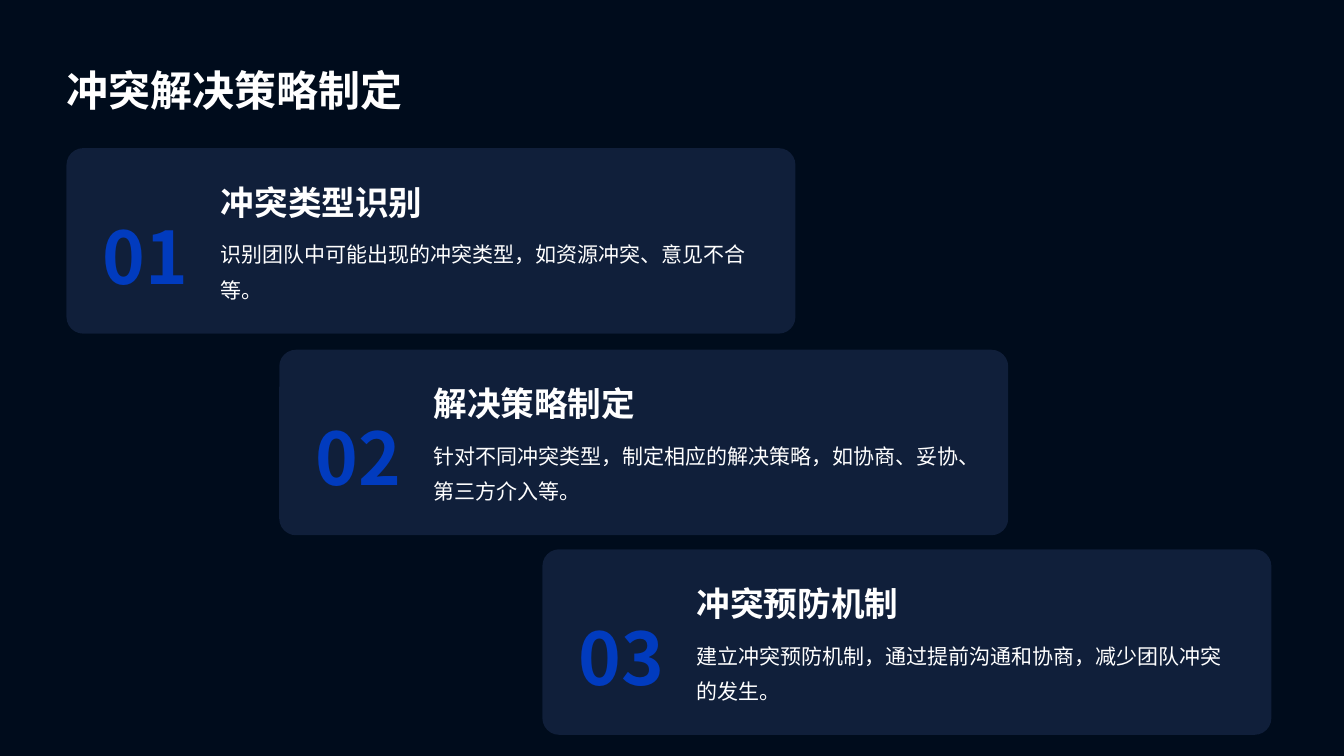
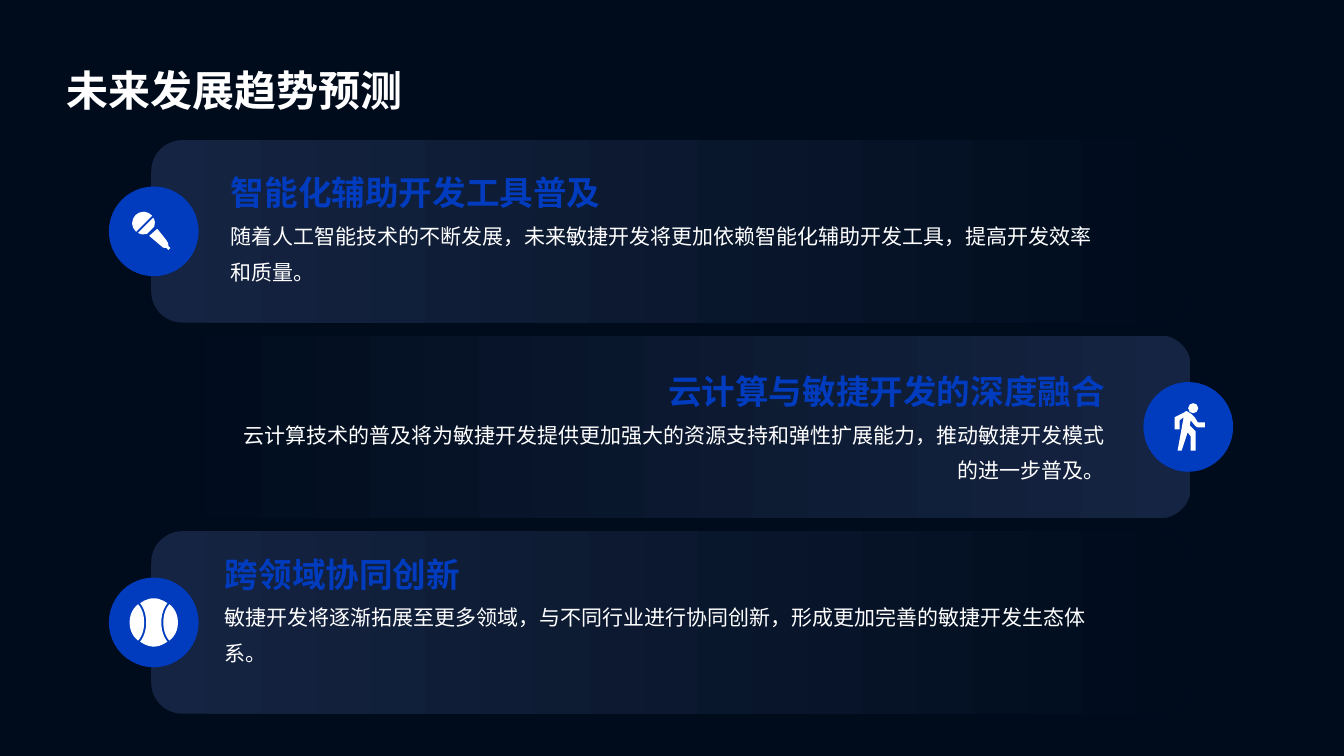
from dataclasses import dataclass

from lxml import etree
from pptx import Presentation
from pptx.dml.color import RGBColor
from pptx.enum.shapes import MSO_SHAPE
from pptx.enum.text import MSO_ANCHOR, MSO_AUTO_SIZE, PP_ALIGN
from pptx.oxml.ns import qn
from pptx.util import Pt

PX = 9144
ICON_UNIT = PX // 2
TITLE_ONLY = 5
ROUNDED, OVAL = MSO_SHAPE.ROUNDED_RECTANGLE, MSO_SHAPE.OVAL
TOP, MIDDLE, BOTTOM = MSO_ANCHOR.TOP, MSO_ANCHOR.MIDDLE, MSO_ANCHOR.BOTTOM
LEFT, CENTER, RIGHT = PP_ALIGN.LEFT, PP_ALIGN.CENTER, PP_ALIGN.RIGHT
NO_AUTOFIT = MSO_AUTO_SIZE.NONE


@dataclass(frozen=True)
class Theme:
    font: str = "Noto Sans CJK SC"
    night: RGBColor = RGBColor.from_string("000C1C")
    panel: RGBColor = RGBColor.from_string("152442")
    accent: RGBColor = RGBColor.from_string("013BBE")
    white: RGBColor = RGBColor.from_string("FFFFFF")
    title: float = 30
    number: float = 51.8
    heading: float = 24
    body: float = 15


THEME = Theme()
INSETS = (12, 6, 12, 6)
TITLE = {"size": THEME.title, "bold": True, "color": THEME.white, "spacing": 1.4,
         "anchor": MIDDLE, "insets": (14, 14, 6, 14)}
NUMBER = {"size": THEME.number, "bold": True, "color": THEME.accent, "spacing": 1.2,
          "anchor": MIDDLE, "insets": INSETS}
CARD_HEADING = {"size": THEME.heading, "bold": True, "color": THEME.white, "spacing": 1.2,
                "anchor": BOTTOM, "insets": INSETS}
TREND_HEADING = CARD_HEADING | {"color": THEME.accent, "anchor": MIDDLE}
BODY = {"size": THEME.body, "bold": False, "color": THEME.white, "spacing": 1.4,
        "anchor": TOP, "insets": INSETS}


def write_text(box, bounds, text, style, align=LEFT):
    for name, length in zip(("left", "top", "width", "height"), bounds):
        setattr(box, name, length * PX)
    frame = box.text_frame
    frame_format = {"word_wrap": True, "auto_size": NO_AUTOFIT, "vertical_anchor": style["anchor"]}
    for side, inset in zip(("left", "top", "right", "bottom"), style["insets"]):
        frame_format[f"margin_{side}"] = inset * PX
    para = frame.paragraphs[0]
    span = para.add_run()
    span.text = text
    para_format = {"alignment": align, "line_spacing": style["spacing"], "space_before": Pt(0)}
    font_format = {"name": THEME.font, "size": Pt(style["size"]), "bold": style["bold"]}
    for target, values in ((frame, frame_format), (para, para_format), (span.font, font_format)):
        for name, value in values.items():
            setattr(target, name, value)
    span.font.color.rgb = style["color"]
    etree.SubElement(span.font._element, qn("a:ea"), typeface=THEME.font)


def draw_icon(slide, contours, left, top):
    builder = None
    for start, *segments in contours:
        if builder is None:
            builder = slide.shapes.build_freeform(*start, scale=ICON_UNIT)
        else:
            builder.move_to(*start)
        points = [segment[i:i + 2] for segment in segments for i in range(0, len(segment), 2)]
        builder.add_line_segments(points, close=True)
    icon = builder.convert_to_shape(left * PX, top * PX)
    lines = iter(list(icon._element.iter(qn("a:lnTo"))))
    for _, *segments in contours:
        for segment in segments:
            stroke = next(lines)
            if len(segment) == 6:
                stroke.tag = qn("a:cubicBezTo")
                for extra in (next(lines), next(lines)):
                    stroke.append(extra[0])
                    extra.getparent().remove(extra)
    icon.shadow.inherit = False
    icon.fill.solid()
    icon.fill.fore_color.rgb = THEME.white
    icon.line.fill.background()


MICROPHONE = [
    [(90, 80), (92, 74, 92, 68, 88, 62), (58, 92), (64, 96, 70, 96, 76, 94)],
    [(86, 58), (82, 54, 76, 50, 70, 50), (56, 50, 46, 60, 46, 74), (46, 80, 50, 86, 54, 90)],
    [(118, 118), (118, 118, 118, 110, 116, 110), (116, 108, 96, 84, 96, 84), (80, 98),
     (106, 120), (106, 122, 114, 122, 114, 122), (118, 126), (122, 122)],
]
WALKER = [
    [(94, 76), (102, 86), (104, 88, 106, 90, 108, 90), (122, 90), (122, 80), (108, 80),
     (102, 70), (100, 68, 98, 66, 96, 64), (90, 60), (88, 58, 86, 58, 86, 58),
     (84, 58, 82, 58, 82, 60), (62, 70), (62, 94), (72, 94), (72, 76), (80, 70), (68, 136),
     (76, 136), (88, 100), (94, 108), (94, 136), (104, 136), (104, 98), (92, 86)],
    [(99, 62), (104, 62, 109, 58, 109, 52), (109, 46, 104, 42, 99, 42),
     (94, 42, 89, 46, 89, 52), (89, 58, 94, 62, 99, 62)],
]
BALL = [
    [(104, 89), (104, 64, 116, 51, 116, 51), (116, 51, 104, 41, 89, 41),
     (74, 41, 62, 51, 62, 51), (62, 51, 74, 64, 74, 89), (74, 114, 62, 127, 62, 127),
     (62, 127, 74, 137, 89, 137), (104, 137, 116, 127, 116, 127), (116, 127, 104, 114, 104, 89)],
    [(58, 53), (58, 53, 41, 64, 41, 89), (41, 114, 58, 125, 58, 125),
     (58, 125, 70, 114, 70, 89), (70, 64, 58, 53, 58, 53)],
    [(120, 53), (120, 53, 137, 64, 137, 89), (137, 114, 120, 125, 120, 125),
     (120, 125, 108, 114, 108, 89), (108, 64, 120, 53, 120, 53)],
]

STRATEGIES = [
    (66, 147, "冲突类型识别", "识别团队中可能出现的冲突类型，如资源冲突、意见不合等。"),
    (277, 347, "解决策略制定", "针对不同冲突类型，制定相应的解决策略，如协商、妥协、第三方介入等。"),
    (538, 545, "冲突预防机制", "建立冲突预防机制，通过提前沟通和协商，减少团队冲突的发生。"),
]
TRENDS = [
    (139, 108, 217, 156, LEFT, MICROPHONE, "智能化辅助开发工具普及",
     "随着人工智能技术的不断发展，未来敏捷开发将更加依赖智能化辅助开发工具，提高开发效率和质量。"),
    (333, 1134, 211, 353, RIGHT, WALKER, "云计算与敏捷开发的深度融合",
     "云计算技术的普及将为敏捷开发提供更加强大的资源支持和弹性扩展能力，推动敏捷开发模式的进一步普及。"),
    (527, 108, 211, 534, LEFT, BALL, "跨领域协同创新",
     "敏捷开发将逐渐拓展至更多领域，与不同行业进行协同创新，形成更加完善的敏捷开发生态体系。"),
]
CARD_WIDTH, CARD_HEIGHT = 723, 184
BAND_LEFT, BAND_WIDTH, BAND_HEIGHT = 150, 1031, 181
BADGE = 89

deck = Presentation()
deck.slide_width, deck.slide_height = 1333 * PX, 750 * PX
backdrop = deck.slide_master.background.fill
backdrop.solid()
backdrop.fore_color.rgb = THEME.night

pages = []
for title in ("冲突解决策略制定", "未来发展趋势预测"):
    page = deck.slides.add_slide(deck.slide_layouts[TITLE_ONLY])
    write_text(page.shapes.title, (52, 29, 1229, 100), title, TITLE)
    pages.append(page)
strategy_page, trend_page = pages

for index, (left, top, heading, body) in enumerate(STRATEGIES, 1):
    card = strategy_page.shapes.add_shape(
        ROUNDED, left * PX, top * PX, CARD_WIDTH * PX, CARD_HEIGHT * PX)
    card.adjustments[0] = 0.09
    card.shadow.inherit = False
    card.line.fill.background()
    card.fill.solid()
    card.fill.fore_color.rgb = THEME.panel
    color = card._element.spPr.find(qn("a:solidFill"))[0]
    etree.SubElement(color, qn("a:alpha"), val="80000")
    for bounds, text, style, align in (
        ((left + 16, top + 37, 125, 121), f"{index:02}", NUMBER, CENTER),
        ((left + 141, top + 16, 382, 63), heading, CARD_HEADING, LEFT),
        ((left + 141, top + 77, 546, 89), body, BODY, LEFT),
    ):
        write_text(strategy_page.shapes.add_textbox(0, 0, 0, 0), bounds, text, style, align)

for top, badge_left, text_left, text_top, align, icon, heading, body in TRENDS:
    band = trend_page.shapes.add_shape(
        ROUNDED, BAND_LEFT * PX, top * PX, BAND_WIDTH * PX, BAND_HEIGHT * PX)
    band.adjustments[0] = 0.17
    band.fill.gradient()
    band.fill.gradient_angle = 0
    shades = (THEME.night, THEME.panel) if align == RIGHT else (THEME.panel, THEME.night)
    for stop, position, shade in zip(band.fill.gradient_stops, (0, 1), shades):
        stop.position = position
        stop.color.rgb = shade
    badge_top = top + (BAND_HEIGHT - BADGE) // 2
    badge = trend_page.shapes.add_shape(
        OVAL, badge_left * PX, badge_top * PX, BADGE * PX, BADGE * PX)
    badge.fill.solid()
    badge.fill.fore_color.rgb = THEME.accent
    for shape in (band, badge):
        shape.shadow.inherit = False
        shape.line.fill.background()
    draw_icon(trend_page, icon, badge_left, badge_top)
    for bounds, text, style in (
        ((text_left, text_top, 897, 62), heading, TREND_HEADING),
        ((text_left, text_top + 50, 897, 85), body, BODY),
    ):
        write_text(trend_page.shapes.add_textbox(0, 0, 0, 0), bounds, text, style, align)

deck.save("out.pptx")
